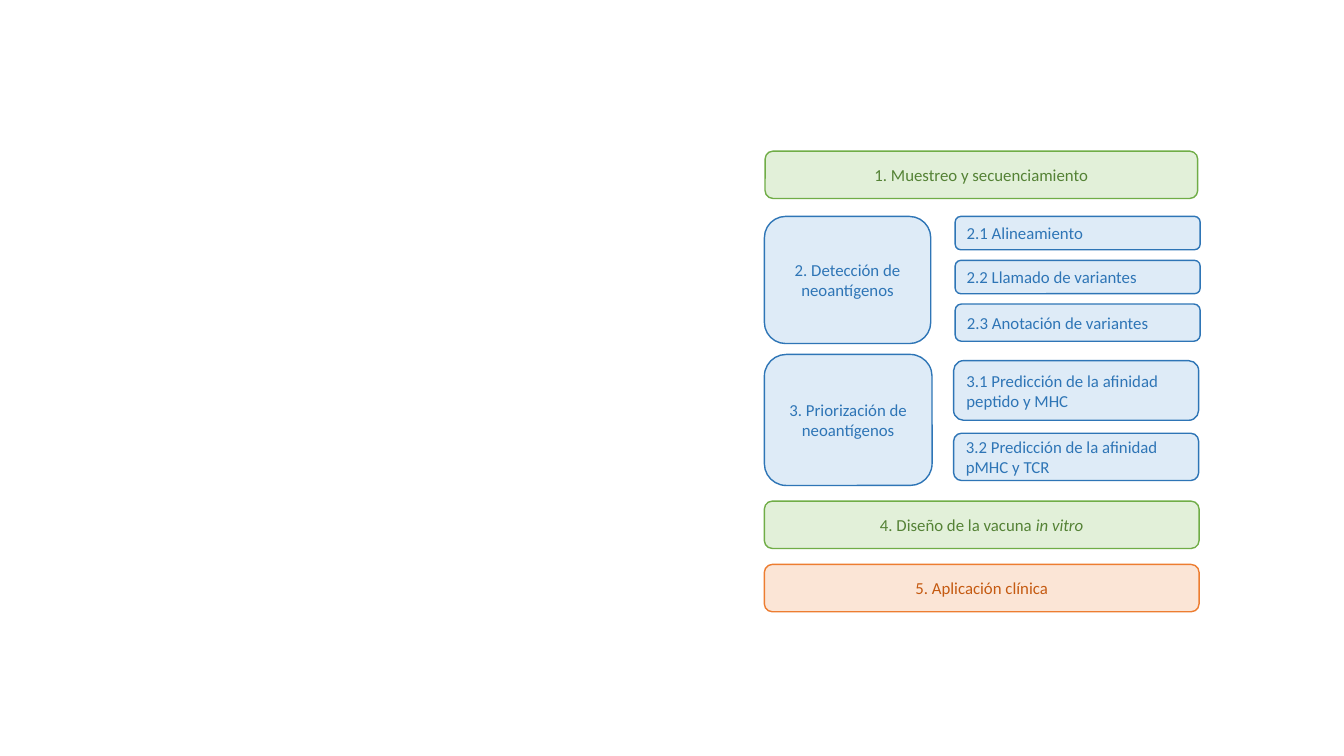
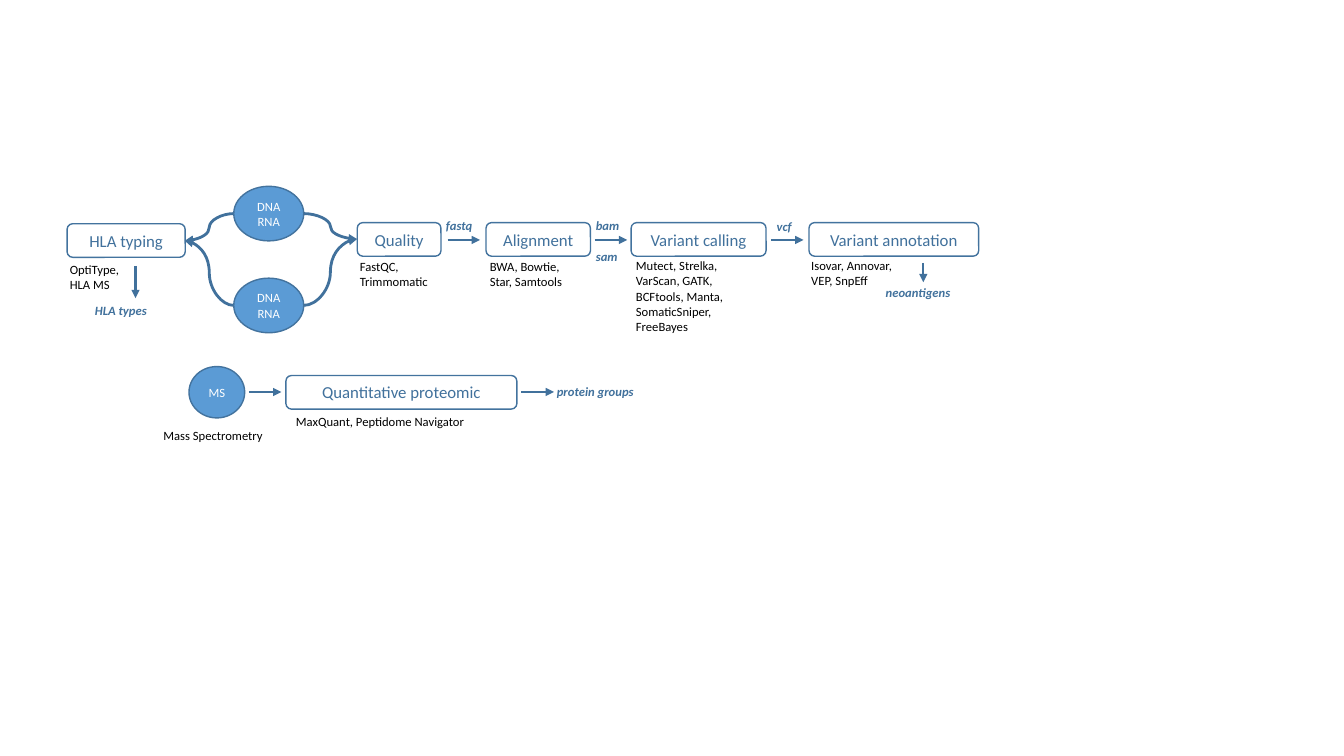
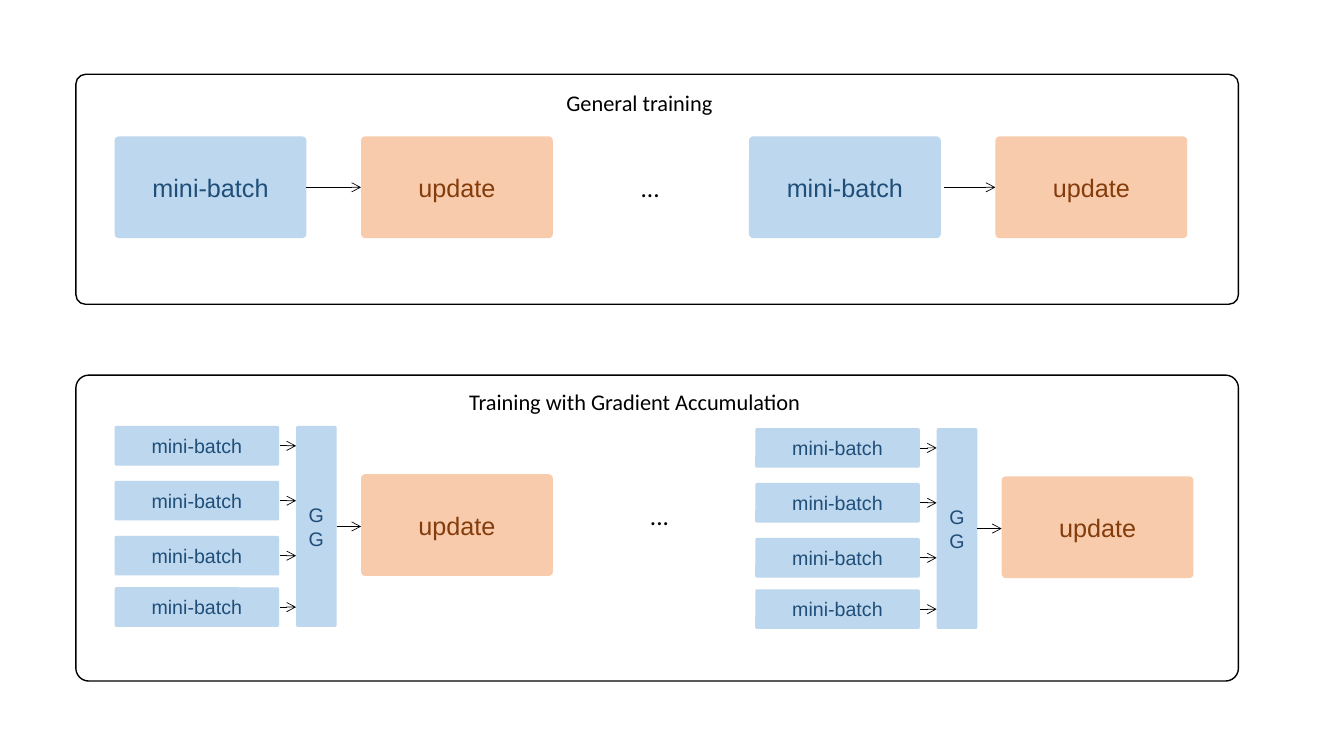
from dataclasses import dataclass

from lxml.etree import SubElement
from pptx import Presentation
from pptx.dml.color import RGBColor
from pptx.enum.shapes import MSO_CONNECTOR, MSO_SHAPE
from pptx.enum.text import MSO_ANCHOR, PP_ALIGN
from pptx.oxml.ns import qn
from pptx.shapes.autoshape import Shape
from pptx.slide import Slide
from pptx.text.text import TextFrame
from pptx.util import Pt

BLACK, WHITE = "000000", "FFFFFF"
STEEL, OUTLINE, SKY = "41719C", "43739E", "5B9BD5"
TIGHT_CORNER = 0.042


@dataclass(frozen=True)
class Palette:
    ink: str
    fill: str | None = None
    line: str | None = None


BLUE = Palette("2E75B6", "DEEBF7", "2E75B6")
GREEN = Palette("548235", "E2F0D9", "70AD47")
ORANGE = Palette("C55A11", "FBE5D6", "ED7D31")
STEP = Palette(STEEL, line=OUTLINE)
SAMPLE = Palette(WHITE, SKY, OUTLINE)
BATCH = Palette("1F4E79", "BDD7EE")
UPDATE = Palette("843C0B", "F8CBAD")
PANEL = Palette(BLACK, line=BLACK)


@dataclass(frozen=True)
class Box:
    left: float
    top: float
    width: float
    height: float
    text: str = ""
    palette: Palette = STEP
    size: float = 12
    font: str = "Calibri"
    align: PP_ALIGN = PP_ALIGN.CENTER
    italic_tail: str = ""
    kind: MSO_SHAPE = MSO_SHAPE.ROUNDED_RECTANGLE
    corner: float | None = None


@dataclass(frozen=True)
class Label:
    left: float
    top: float
    width: float
    height: float
    text: str
    size: float = 9
    color: str = BLACK
    emphasis: bool = False
    gap: float = 0


@dataclass(frozen=True)
class Arrow:
    x1: float
    y1: float
    x2: float
    y2: float
    color: str = STEEL
    weight: float = 1.75
    head: str = "triangle"
    route: MSO_CONNECTOR = MSO_CONNECTOR.STRAIGHT


def rgb(color: str) -> RGBColor:
    return RGBColor.from_string(color)


def write(frame: TextFrame, text: str, *, size: float, color: str, font: str = "Calibri",
          align: PP_ALIGN = PP_ALIGN.LEFT, emphasis: bool = False,
          gap: float = 0, italic_tail: str = "") -> None:
    """Write one paragraph per line, gap points apart; italic_tail ends the last one."""
    frame.word_wrap = True
    for number, line in enumerate(text.split("\n")):
        paragraph = frame.add_paragraph() if number else frame.paragraphs[0]
        paragraph.alignment = align
        paragraph.space_before = Pt(gap if number else 0)
        paragraph.add_run().text = line
    if italic_tail:
        paragraph.add_run().text = italic_tail
    for paragraph in frame.paragraphs:
        for run in paragraph.runs:
            run.font.name, run.font.size = font, Pt(size)
            run.font.color.rgb = rgb(color)
            run.font.bold = emphasis
            run.font.italic = emphasis or (italic_tail != "" and run.text == italic_tail)


def draw_box(slide: Slide, box: Box) -> Shape:
    shape = slide.shapes.add_shape(
        box.kind, Pt(box.left), Pt(box.top), Pt(box.width), Pt(box.height))
    shape.shadow.inherit = False
    if box.corner is not None:
        shape.adjustments[0] = box.corner
    if box.palette.fill:
        shape.fill.solid()
        shape.fill.fore_color.rgb = rgb(box.palette.fill)
    else:
        shape.fill.background()
    if box.palette.line:
        shape.line.color.rgb = rgb(box.palette.line)
        shape.line.width = Pt(1)
    else:
        shape.line.fill.background()
    if box.text:
        shape.text_frame.vertical_anchor = MSO_ANCHOR.MIDDLE
        write(shape.text_frame, box.text, size=box.size, color=box.palette.ink,
              font=box.font, align=box.align, italic_tail=box.italic_tail)
    return shape


def draw_label(slide: Slide, label: Label) -> None:
    area = slide.shapes.add_textbox(
        Pt(label.left), Pt(label.top), Pt(label.width), Pt(label.height))
    write(area.text_frame, label.text, size=label.size, color=label.color,
          emphasis=label.emphasis, gap=label.gap)


def draw_arrow(slide: Slide, arrow: Arrow) -> None:
    connector = slide.shapes.add_connector(
        arrow.route, Pt(arrow.x1), Pt(arrow.y1), Pt(arrow.x2), Pt(arrow.y2))
    connector.line.color.rgb = rgb(arrow.color)
    connector.line.width = Pt(arrow.weight)
    properties = connector.element.spPr
    SubElement(properties.find(qn("a:ln")), qn("a:tailEnd"), type=arrow.head)
    SubElement(properties, qn("a:effectLst"))


def build_vaccine_stages(slide: Slide) -> None:
    left, width, bar = 546, 310.5, 33.8
    stages = [
        Box(left + 0.5, 108, 309, bar, "1. Muestreo y secuenciamiento", GREEN),
        Box(left, 154.6, 118.8, 90.8, "2. Detección de neoantígenos", BLUE),
        Box(left, 253.2, 119.8, 93.6, "3. Priorización de neoantígenos", BLUE),
        Box(left, 358, width, bar, "4. Diseño de la vacuna ", GREEN, italic_tail="in vitro"),
        Box(left, 403.2, width, bar, "5. Aplicación clínica", ORANGE),
    ]
    substages = [
        (682.3, 154.6, 23.8, "2.1 Alineamiento"),
        (682.3, 186, 23.8, "2.2 Llamado de variantes"),
        (682.3, 217.2, 26.6, "2.3 Anotación de variantes"),
        (681.2, 257.6, 42.6, "3.1 Predicción de la afinidad peptido y MHC"),
        (681.2, 309.5, bar, "3.2 Predicción de la afinidad pMHC y TCR"),
    ]
    for stage in stages:
        draw_box(slide, stage)
    for sub_left, top, height, text in substages:
        draw_box(slide, Box(sub_left, top, 175, height, text, BLUE, align=PP_ALIGN.LEFT))


def build_neoantigen_pipeline(slide: Slide) -> None:
    step_height, flow_y = 24, 171.4
    sample_left, sample_width, sample_height = 167, 50, 39
    sample_right = sample_left + sample_width
    for top in (133.1, 198.7):
        center = top + sample_height / 2
        for start, end, target in ((sample_right, 255, 170.8), (sample_left, 132, 172)):
            draw_arrow(slide, Arrow(start, center, end, target, weight=2,
                                    route=MSO_CONNECTOR.CURVE))
        draw_box(slide, Box(sample_left, top, sample_width, sample_height, "DNA RNA",
                            SAMPLE, 9, kind=MSO_SHAPE.OVAL))
    draw_box(slide, Box(135, 261.8, 39.8, 36.7, "MS", SAMPLE, 9, kind=MSO_SHAPE.OVAL))

    steps = [
        (47.9, 159.8, 84.4, "HLA typing"),
        (255.2, 159, 59.8, "Quality"),
        (347.2, 159, 74.6, "Alignment"),
        (450.8, 159, 96.4, "Variant calling"),
        (577.9, 159, 121.2, "Variant annotation"),
        (204.2, 268.2, 165, "Quantitative proteomic"),
    ]
    for left, top, width, text in steps:
        draw_box(slide, Box(left, top, width, step_height, text))

    tools = [
        Label(42.8, 183.5, 83.5, 29, "OptiType,\nHLA MS"),
        Label(250, 181.3, 83.5, 29, "FastQC,\nTrimmomatic"),
        Label(342.8, 181.3, 83.5, 29, "BWA, Bowtie,\nStar, Samtools"),
        Label(447.2, 180.8, 83.5, 62, "Mutect, Strelka, VarScan, GATK, BCFtools, "
              "Manta, SomaticSniper, FreeBayes"),
        Label(572.4, 180.8, 83.5, 29, "Isovar, Annovar, VEP, SnpEff"),
        Label(109.6, 302.2, 95, 18, "Mass Spectrometry"),
        Label(204.3, 292.2, 151, 18, "MaxQuant, Peptidome Navigator"),
    ]
    for tool in tools:
        draw_label(slide, tool)

    outputs = [
        (311.5, 152.2, 41, "fastq"),
        (418.5, 152.2, 41, "bam\nsam"),
        (547.7, 152.6, 41, "vcf"),
        (625.6, 200.3, 72, "neoantigens"),
        (60.7, 212.8, 72, "HLA types"),
        (390.7, 270.7, 102, "protein groups"),
    ]
    for left, top, width, text in outputs:
        draw_label(slide, Label(left, top, width, 18, text, color=STEEL,
                                emphasis=True, gap=11))

    for left, y in ((319.7, flow_y), (424.8, flow_y), (550.8, flow_y),
                    (177.8, 280), (372.5, 280)):
        draw_arrow(slide, Arrow(left, y, left + 23.2, y))
    for x, top, bottom in ((659.5, 187.8, 201.6), (96.8, 190, 213)):
        draw_arrow(slide, Arrow(x, top, x, bottom))


def draw_block(slide: Slide, left: float, top: float, width: float, height: float,
               text: str, palette: Palette, size: float) -> None:
    draw_box(slide, Box(left, top, width, height, text, palette, size, "Arial",
                        corner=TIGHT_CORNER))


def draw_update(slide: Slide, left: float, top: float) -> None:
    draw_block(slide, left, top, 137, 72.7, "update", UPDATE, 18)


def draw_link(slide: Slide, start: float, end: float, y: float) -> None:
    draw_arrow(slide, Arrow(start, y, end, y, BLACK, 0.5, "arrow"))


def draw_accumulation(slide: Slide, left: float, top: float) -> None:
    """Draw four mini-batches that feed one gradient bar and its update."""
    batch_width, batch_height, bar_width, bar_height = 117.5, 28.3, 29, 143.5
    bar_left, update_left = left + 129.6, left + 176
    for offset in (0, 39.2, 78.5, 115.2):
        draw_block(slide, left, top + offset, batch_width, batch_height,
                   "mini-batch", BATCH, 14)
        draw_link(slide, left + batch_width + 0.5, bar_left,
                  top + offset + batch_height / 2)
    draw_block(slide, bar_left, top, bar_width, bar_height, "GG", BATCH, 14)
    draw_link(slide, bar_left + bar_width, update_left, top + bar_height / 2)
    draw_update(slide, update_left, top + 34.4)


def build_training_comparison(slide: Slide) -> None:
    for top, height in ((53.1, 164.3), (268, 218.5)):
        draw_box(slide, Box(54.2, top, 830.4, height, palette=PANEL, corner=TIGHT_CORNER))
    for left, link_start in ((81.9, 218.9), (535, 674.2)):
        draw_block(slide, left, 97.4, 137, 72.7, "mini-batch", BATCH, 18)
        draw_link(slide, link_start, left + 176, 133.8)
        draw_update(slide, left + 176, 97.4)
    for left, top in ((81.9, 304.3), (539.5, 305.8)):
        draw_accumulation(slide, left, top)
    for label in (
        Label(397.5, 60.5, 145, 26.6, "General training", 16),
        Label(328, 273.8, 280, 26.6, "Training with Gradient Accumulation", 16),
        Label(450.5, 119.5, 37, 29, "...", 18),
        Label(457.2, 353.5, 37, 29, "...", 18),
    ):
        draw_label(slide, label)


def main() -> None:
    deck = Presentation()
    deck.slide_width, deck.slide_height = Pt(960), Pt(540)
    blank = deck.slide_layouts[6]
    for build in (build_vaccine_stages, build_neoantigen_pipeline,
                  build_training_comparison):
        build(deck.slides.add_slide(blank))
    deck.save("out.pptx")


if __name__ == "__main__":
    main()
